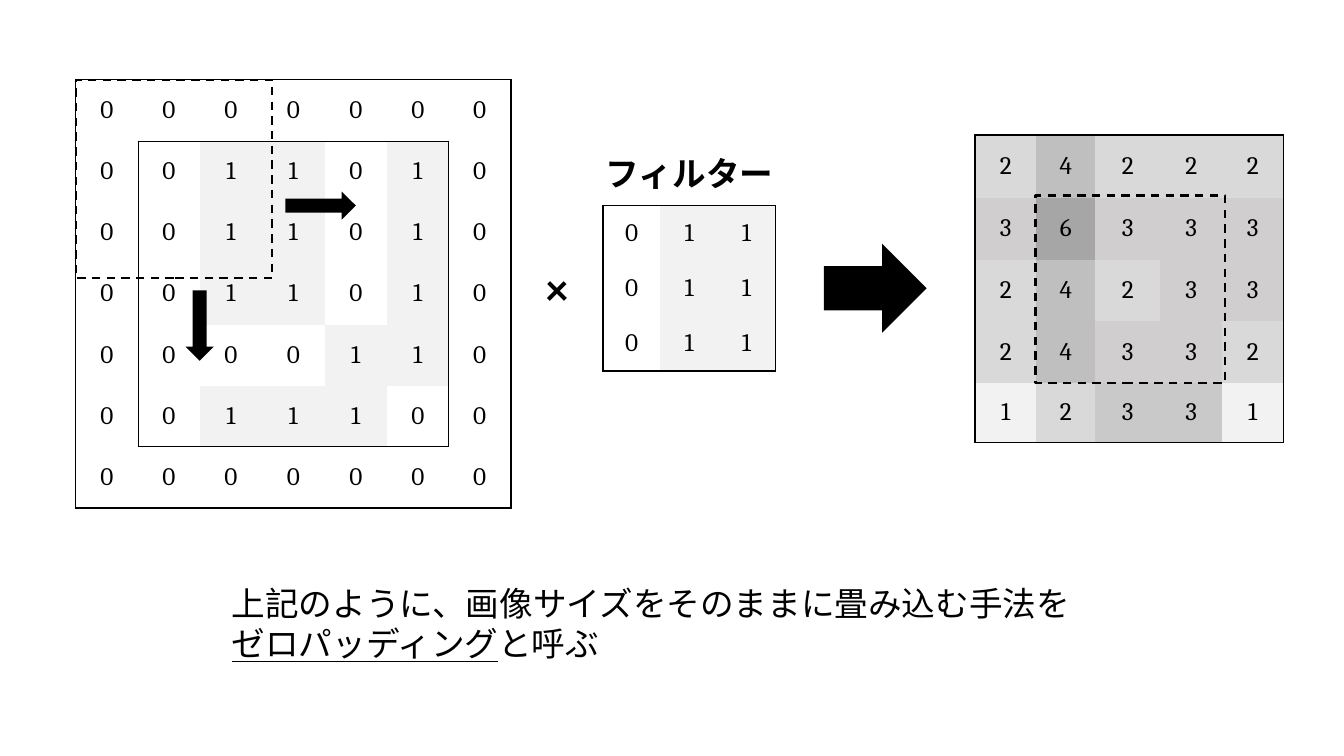
from dataclasses import dataclass

from lxml import etree
from pptx import Presentation
from pptx import util as u
from pptx.dml.color import RGBColor
from pptx.enum import dml, shapes, text
from pptx.oxml import ns

PX = 9144  # EMU in one px, 100 px to the inch


@dataclass(frozen=True)
class Theme:
    ink: str = "000000"
    label_font: str = "Calibri"
    number_font: str = "Cambria"
    number_size: int = 18
    label_size: int = 24
    sign_size: int = 32
    border: float = 1
    dash: float = 1.5


THEME = Theme()
SHADES = {"0": "FFFFFF", "1": "F2F2F2", "2": "D9D9D9",
          "3": "D0CECE", "4": "BFBFBF", "6": "A6A6A6"}
LAST_ROW_SHADE = "C9C9C9"

# The 5 x 5 image with a ring of zeros around it
IMAGE = ["01101", "01101", "01101", "00011", "01110"]
PADDED = ["0" * 7, *(f"0{row}0" for row in IMAGE), "0" * 7]
FILTER = ["011"] * 3
RESULT = ["24222", "36333", "24233", "24332", "12331"]


def px(*lengths):
    return [u.Emu(length * PX) for length in lengths]


def split(total, count):
    """Cut a length into whole px parts that are as equal as possible."""
    cuts = [round(total * i / count) for i in range(count + 1)]
    return [end - start for start, end in zip(cuts, cuts[1:])]


def add_run(paragraph, words, font, size, bold=False, underline=False):
    run = paragraph.add_run()
    run.text = words
    run.font.name = font
    run.font.size = u.Pt(size)
    run.font.bold = bold
    run.font.underline = underline
    run.font.color.rgb = RGBColor.from_string(THEME.ink)


def add_edge(cell, side, visible):
    properties = cell._tc.get_or_add_tcPr()
    line = etree.SubElement(properties, ns.qn(f"a:ln{side}"),
                            w=str(u.Pt(THEME.border)))
    if visible:
        fill = etree.SubElement(line, ns.qn("a:solidFill"))
        etree.SubElement(fill, ns.qn("a:srgbClr"), val=THEME.ink)
    else:
        etree.SubElement(line, ns.qn("a:noFill"))


def add_grid(slide, left, top, widths, heights, rows, inner_frame=None, shades=None):
    """Draw digits shaded by value; frames are left, top, right, bottom cell edges."""
    frame = slide.shapes.add_table(len(heights), len(widths),
                                   *px(left, top, sum(widths), sum(heights)))
    table = frame.table
    table.first_row = table.horz_banding = False
    for column, width in zip(table.columns, widths):
        column.width = u.Emu(width * PX)
    for row, height in zip(table.rows, heights):
        row.height = u.Emu(height * PX)

    frames = [(0, 0, len(widths), len(heights))]
    if inner_frame:
        frames.append(inner_frame)

    def upright(x, y):
        return any(x in (l, r) and t <= y < b for l, t, r, b in frames)

    def level(x, y):
        return any(y in (t, b) and l <= x < r for l, t, r, b in frames)

    for y, digits in enumerate(rows):
        for x, digit in enumerate(digits):
            cell = table.cell(y, x)
            cell.vertical_anchor = text.MSO_ANCHOR.MIDDLE
            for side, visible in (("L", upright(x, y)), ("R", upright(x + 1, y)),
                                  ("T", level(x, y)), ("B", level(x, y + 1))):
                add_edge(cell, side, visible)
            cell.fill.solid()
            shade = (shades or {}).get((x, y), SHADES[digit])
            cell.fill.fore_color.rgb = RGBColor.from_string(shade)
            paragraph = cell.text_frame.paragraphs[0]
            paragraph.alignment = text.PP_ALIGN.CENTER
            add_run(paragraph, digit, THEME.number_font, THEME.number_size)


def add_arrow(slide, left, top, width, height, rotation=0):
    shape = slide.shapes.add_shape(shapes.MSO_SHAPE.RIGHT_ARROW,
                                   *px(left, top, width, height))
    shape.shadow.inherit = False
    shape.rotation = rotation
    shape.fill.solid()
    shape.fill.fore_color.rgb = RGBColor.from_string(THEME.ink)
    shape.line.fill.background()


def add_window(slide, left, top, width, height):
    shape = slide.shapes.add_shape(shapes.MSO_SHAPE.RECTANGLE,
                                   *px(left, top, width, height))
    shape.shadow.inherit = False
    shape.fill.background()
    shape.line.color.rgb = RGBColor.from_string(THEME.ink)
    shape.line.width = u.Pt(THEME.dash)
    shape.line.dash_style = dml.MSO_LINE.DASH


def add_label(slide, left, top, width, height, runs, size, bold=False,
              alignment=text.PP_ALIGN.CENTER):
    box = slide.shapes.add_textbox(*px(left, top, width, height))
    box.text_frame.word_wrap = True
    box.text_frame.auto_size = text.MSO_AUTO_SIZE.SHAPE_TO_FIT_TEXT
    paragraph = box.text_frame.paragraphs[0]
    paragraph.alignment = alignment
    for words, underline in runs:
        add_run(paragraph, words, THEME.label_font, size, bold, underline)


def main():
    presentation = Presentation()
    presentation.slide_width, presentation.slide_height = px(1333, 750)
    slide = presentation.slides.add_slide(presentation.slide_layouts[6])

    # Padded image, result and filter
    add_arrow(slide, 817, 242, 102, 88)
    add_grid(slide, 75, 79, split(432, 7), split(425, 7), PADDED,
             inner_frame=(1, 1, 6, 6))
    add_grid(slide, 967, 134, [61, 58, 65, 61, 61], [62, 62, 61, 61, 59], RESULT,
             shades={(2, 4): LAST_ROW_SHADE, (3, 4): LAST_ROW_SHADE})
    add_grid(slide, 598, 204, split(171, 3), split(164, 3), FILTER)

    # Multiplication sign and explanation
    add_label(slide, 531, 254, 43, 64, [("×", False)], THEME.sign_size, bold=True)
    add_label(slide, 220, 573, 874, 91,
              [("上記のように、画像サイズをそのままに畳み込む手法を", False),
               ("ゼロパッディング", True), ("と呼ぶ", False)],
              THEME.label_size, alignment=text.PP_ALIGN.LEFT)

    # Original image area, sliding window and its directions
    add_window(slide, 1027, 194, 188, 186)
    add_window(slide, 75, 79, 195, 197)
    add_arrow(slide, 283, 190, 70, 28)
    add_arrow(slide, 163, 309, 70, 28, rotation=90)

    # Filter heading
    add_label(slide, 542, 147, 284, 50, [("フィルター", False)],
              THEME.label_size, bold=True)

    presentation.save("out.pptx")


if __name__ == "__main__":
    main()
